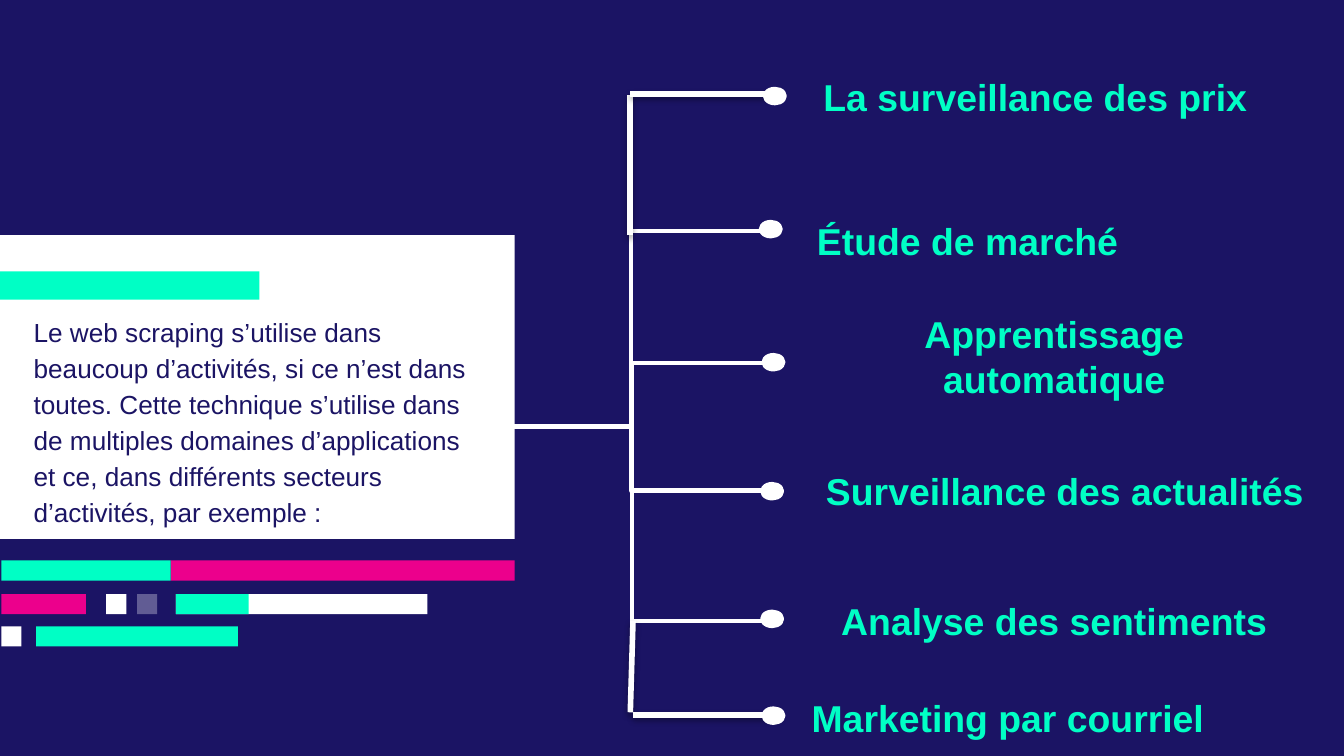
from lxml import etree
from pptx import Presentation
from pptx.dml.color import RGBColor
from pptx.enum.shapes import MSO_CONNECTOR, MSO_SHAPE
from pptx.enum.text import MSO_ANCHOR, MSO_AUTO_SIZE, PP_ALIGN
from pptx.oxml.ns import qn
from pptx.util import Emu, Pt

RECT, OVAL = MSO_SHAPE.RECTANGLE, MSO_SHAPE.OVAL
LINE, ELBOW = MSO_CONNECTOR.STRAIGHT, MSO_CONNECTOR.ELBOW
TOP, MID = MSO_ANCHOR.TOP, MSO_ANCHOR.MIDDLE
LEFT, MIDST = PP_ALIGN.LEFT, PP_ALIGN.CENTER
FIXED = MSO_AUTO_SIZE.NONE

SCALE = 9144  # EMU in one px, 100 px to the inch
WIDTH = 1000  # slide width in px, at 16:9
COLORS = {"navy": "1B1464", "white": "FFFFFF", "mint": "00FFC5",
          "pink": "EC008C", "black": "000000"}

INTRO = ("Le web scraping s’utilise dans beaucoup d’activités, si ce n’est "
         "dans toutes. Cette technique s’utilise dans de multiples domaines "
         "d’applications et ce, dans différents secteurs d’activités, "
         "par exemple :")

# Uses of scraping: text, box, format; the first one is the title
USES = [
    ("La surveillance des prix", (596, 36, 349, 71), {}),
    ("Étude de marché", (598, 157, 295, 30),
     {"align": LEFT, "anchor": TOP, "space": 1.15}),
    ("Apprentissage automatique", (596, 236, 377, 58), {}),
    ("Surveillance des actualités", (599, 334, 387, 62), {}),
    ("Analyse des sentiments", (596, 447, 377, 30), {}),
    ("Marketing par courriel", (594, 512, 379, 44), {"align": LEFT}),
]

# Bars around the card: box, color, opacity in percent
BARS = [
    ((-2, 202, 195, 21), "mint", 100),
    ((127, 417, 256, 15), "pink", 100),
    ((1, 417, 126, 15), "mint", 100),
    ((131, 442, 187, 15), "white", 100),
    ((131, 442, 54, 15), "mint", 100),
    ((1, 442, 63, 15), "pink", 100),
    ((102, 442, 15, 15), "white", 31),
    ((79, 442, 15, 15), "white", 100),
    ((1, 466, 15, 15), "white", 100),
    ((27, 466, 150, 15), "mint", 100),
]

# Branches: start and end points
BENDS = [(367, 317, 572, 172), (368, 318, 573, 270),
         (367, 317, 572, 365), (368, 317, 573, 462)]
ENDS = [(469, 175, 469, 71), (469, 70, 573, 70),
        (471, 462, 469, 530), (471, 532, 580, 532)]
DOTS = [(569, 66), (566, 165), (568, 264), (567, 360), (567, 455), (568, 527)]


def px(*vals):
    return [Emu(v * SCALE) for v in vals]


def rgb(name):
    return RGBColor.from_string(COLORS[name])


def sub(node, tag, **attrs):
    item = etree.SubElement(node, qn(tag))
    for key, val in attrs.items():
        item.set(key, str(val))
    return item


def place(shape, box):
    shape.left, shape.top, shape.width, shape.height = px(*box)


def write(shape, text, size=20, color="mint", bold=True, align=MIDST,
          anchor=MID, space=1.0, after=0):
    frame = shape.text_frame
    frame.auto_size = FIXED
    frame.word_wrap = True
    frame.vertical_anchor = anchor
    frame.margin_left, frame.margin_right = px(10, 10)
    frame.margin_top = frame.margin_bottom = 0
    para = frame.paragraphs[0]
    para.alignment = align
    para.line_spacing = space
    para.space_before, para.space_after = Pt(0), Pt(after)
    run = para.add_run()
    run.text = text
    font = run.font
    font.name, font.size, font.bold = "Arial", Pt(size), bold
    font.color.rgb = rgb(color)


def block(slide, kind, box, color, alpha=100, edge=0):
    shape = slide.shapes.add_shape(kind, *px(*box))
    shape.shadow.inherit = False
    shape.fill.solid()
    shape.fill.fore_color.rgb = rgb(color)
    if alpha < 100:
        tint = shape.element.spPr.find(".//" + qn("a:srgbClr"))
        sub(tint, "a:alpha", val=alpha * 1000)
    if edge:
        shape.line.color.rgb = rgb(color)
        shape.line.width = Pt(edge)
    else:
        shape.line.fill.background()
    return shape


def link(slide, kind, ends, width, dot=False, shade=False):
    line = slide.shapes.add_connector(kind, *px(*ends))
    line.line.color.rgb = rgb("white")
    line.line.width = Pt(width)
    props = line.element.spPr
    if dot:
        sub(props.find(qn("a:ln")), "a:tailEnd", type="oval")
    effects = sub(props, "a:effectLst")
    if shade:
        cast = sub(effects, "a:outerShdw", blurRad=Pt(3.1), dist=Pt(1.8),
                   dir=5400000, rotWithShape=0)
        tint = sub(cast, "a:srgbClr", val=COLORS["black"])
        sub(tint, "a:alpha", val=35000)


def main():
    deck = Presentation()
    deck.slide_width = Emu(WIDTH * SCALE)
    deck.slide_height = Emu(WIDTH * SCALE * 9 // 16)
    slide = deck.slides.add_slide(deck.slide_layouts[0])
    slide.background.fill.solid()
    slide.background.fill.fore_color.rgb = rgb("navy")
    title, body = slide.placeholders

    # White card behind the intro
    card = block(slide, RECT, (0, 175, 383, 226), "white")
    title.element.addprevious(card.element)
    place(body, (15, 232, 353, 155))
    write(body, INTRO, size=14, color="navy", bold=False, align=LEFT,
          anchor=TOP, space=1.15, after=16)

    # List of uses
    for i, (text, box, form) in enumerate(USES):
        label = slide.shapes.add_textbox(*px(*box)) if i else title
        place(label, box)
        write(label, text, **form)

    # Code-like bars
    for box, color, alpha in BARS:
        block(slide, RECT, box, color, alpha)

    # Branches and their dots
    for ends in BENDS:
        link(slide, ELBOW, ends, 2.25, dot=True)
    for ends in ENDS:
        link(slide, LINE, ends, 3, shade=True)
    for x, y in DOTS:
        block(slide, OVAL, (x, y, 15, 11), "white", edge=2)

    deck.save("out.pptx")


if __name__ == "__main__":
    main()
